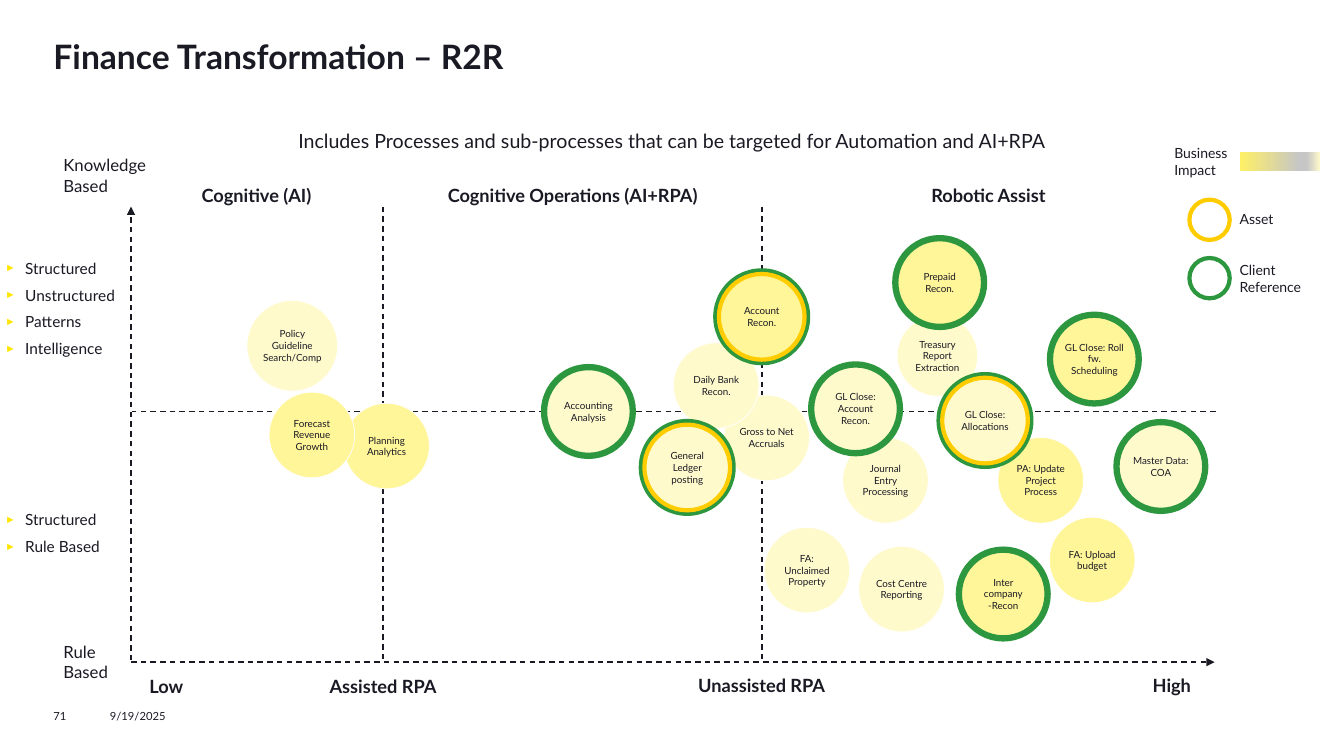
from lxml import etree
from pptx import Presentation
from pptx.dml.color import RGBColor
from pptx.enum.dml import MSO_LINE
from pptx.enum.shapes import MSO_CONNECTOR, MSO_SHAPE
from pptx.enum.text import MSO_ANCHOR, PP_ALIGN
from pptx.oxml.ns import qn
from pptx.util import Pt

OVAL, RECT = MSO_SHAPE.OVAL, MSO_SHAPE.RECTANGLE
STRAIGHT, DASH = MSO_CONNECTOR.STRAIGHT, MSO_LINE.DASH
TOP, MIDDLE = MSO_ANCHOR.TOP, MSO_ANCHOR.MIDDLE
LEFT, CENTER = PP_ALIGN.LEFT, PP_ALIGN.CENTER

INK = RGBColor(0x1A, 0x1A, 0x24)
WHITE = RGBColor(0xFF, 0xFF, 0xFF)
PALE = RGBColor(0xFF, 0xFA, 0xCC)
BRIGHT = RGBColor(0xFF, 0xF5, 0x99)
GREEN = RGBColor(0x2C, 0x97, 0x3E)
GOLD = RGBColor(0xFF, 0xCC, 0x00)
YELLOW = RGBColor(0xFF, 0xE6, 0x00)
LEMON = RGBColor(0xFF, 0xF0, 0x66)
GREY = RGBColor(0xC6, 0xC6, 0xC6)

FONT = "Lato"
DIAMETER = 61.2
CLIENT, ASSET = "client reference", "asset and client reference"
RINGS = {  # diameter, colour, width
    None: [],
    CLIENT: [(63.4, GREEN, 4.5)],
    ASSET: [(64.8, GREEN, 4.5), (DIAMETER, GOLD, 3)],
}

# text, centre x, centre y, diameter, fill, rings; back to front
BUBBLES = [
    ("Policy Guideline Search/Comp", 208.8, 247, 64.8, PALE, None),
    ("Treasury Report Extraction", 669.6, 254.2, 57.6, PALE, None),
    ("Gross to Net\nAccruals", 547.6, 312.8, DIAMETER, PALE, None),
    ("FA: Upload budget", 780.1, 400, DIAMETER, BRIGHT, None),
    ("PA: Update Project Process", 743.4, 343.1, DIAMETER, BRIGHT, None),
    ("Journal\vEntry Processing", 632.5, 343.1, DIAMETER, PALE, None),
    ("FA: Unclaimed Property", 576.4, 407.2, DIAMETER, PALE, None),
    ("Planning Analytics", 276.1, 318.6, DIAMETER, BRIGHT, None),
    ("Forecast Revenue Growth", 222.8, 310.7, DIAMETER, BRIGHT, None),
    ("Cost Centre\vReporting", 644, 420.8, DIAMETER, PALE, None),
    ("Daily Bank Recon.", 511.6, 275.4, DIAMETER, PALE, None),
    ("Inter company -Recon", 716.6, 424.3, DIAMETER, BRIGHT, CLIENT),
    ("GL Close: Roll fw. Scheduling", 781.7, 256.5, DIAMETER, BRIGHT, CLIENT),
    ("Prepaid Recon.", 671.2, 201.8, DIAMETER, BRIGHT, CLIENT),
    ("Account Recon.", 544.1, 226.3, DIAMETER, BRIGHT, ASSET),
    ("General Ledger posting", 490.9, 333.9, DIAMETER, PALE, ASSET),
    ("Accounting\nAnalysis", 420.3, 293.9, DIAMETER, PALE, CLIENT),
    ("GL Close: Account Recon.", 611.1, 292, DIAMETER, PALE, CLIENT),
    ("GL Close: Allocations", 703.6, 300.4, DIAMETER, PALE, ASSET),
    ("Master Data: COA", 829.2, 333.2, DIAMETER, PALE, CLIENT),
]

# x1, y1, x2, y2, arrow at the end
AXES = [
    (93.6, 471.6, 93.6, 147.6, True),
    (93.6, 473, 867.6, 473, True),
    (544.3, 147.6, 544.3, 471.6, False),
    (868.3, 293.8, 94.3, 293.8, False),
    (273.6, 147.6, 273.6, 471.6, False),
]

# text, left, top, width
HEADINGS = [
    ("Cognitive (AI)", 120.2, 130.3, 126),
    ("Cognitive Operations (AI+RPA)", 301, 130.3, 216),
    ("Robotic Assist", 643, 130.3, 126),
    ("Low", 93.6, 481, 50.4),
    ("Assisted RPA", 219.6, 481, 108),
    ("Unassisted RPA", 481, 480.2, 126),
    ("High", 810, 480.2, 54),
]

# text, left, top, width, height
AXIS_ENDS = [
    ("Knowledge Based", 38.2, 107.3, 79.2, 36),
    ("Rule Based", 38.2, 458.6, 55.4, 28.8),
]
BULLET_LISTS = [
    (["Structured", "Unstructured", "Patterns", "Intelligence"], 177.1, 86.4),
    (["Structured", "Rule Based"], 355.7, 50.4),
]
FOOTER = [("71", 38.2, 40.3), ("9/19/2025", 78.5, 100.8)]

# text, ring colour, top of ring, top of label, height of label
LEGEND = [
    ("Asset", GOLD, 142.6, 147.6, 18),
    ("Client Reference", GREEN, 184.3, 184.3, 28.8),
]
IMPACT_STOPS = [(0, LEMON), (74, GREY), (83, GREY), (100, PALE)]


def write(sp, text, size, align=LEFT, anchor=MIDDLE, inset=(7.2, 3.6, 7.2, 3.6), bold=False):
    tf = sp.text_frame
    tf.word_wrap = True
    tf.vertical_anchor = anchor
    tf.margin_left, tf.margin_top, tf.margin_right, tf.margin_bottom = map(Pt, inset)
    tf.text = text
    for p in tf.paragraphs:
        p.alignment = align
        p.font.name, p.font.size, p.font.bold = FONT, Pt(size), bold
        p.font.color.rgb = INK
    return tf


def add_text(s, text, left, top, width, height, size, **style):
    box = s.shapes.add_textbox(Pt(left), Pt(top), Pt(width), Pt(height))
    return write(box, text, size, **style)


def add_figure(s, kind, left, top, width, height, fill, line, line_width):
    sp = s.shapes.add_shape(kind, Pt(left), Pt(top), Pt(width), Pt(height))
    sp.shadow.inherit = False
    if fill is None:
        sp.fill.background()
    else:
        sp.fill.solid()
        sp.fill.fore_color.rgb = fill
    sp.line.color.rgb = line
    sp.line.width = Pt(line_width)
    return sp


def add_circle(s, x, y, d, fill, line, line_width):
    """Add a circle by its centre and diameter."""
    return add_figure(s, OVAL, x - d / 2, y - d / 2, d, d, fill, line, line_width)


def add_axis(s, x1, y1, x2, y2, arrow):
    line = s.shapes.add_connector(STRAIGHT, Pt(x1), Pt(y1), Pt(x2), Pt(y2))
    line.line.color.rgb = INK
    line.line.width = Pt(1)
    line.line.dash_style = DASH
    if arrow:
        etree.SubElement(line.line._get_or_add_ln(), qn("a:tailEnd"), type="triangle")
    etree.SubElement(line._element.spPr, qn("a:effectLst"))


def add_bullet(p):
    pPr = p._p.get_or_add_pPr()
    pPr.set("marL", str(Pt(14.4)))
    pPr.set("indent", str(Pt(-14.4)))
    bullet = [
        etree.Element(qn("a:buClr")),
        etree.Element(qn("a:buSzPct"), val="70000"),
        etree.Element(qn("a:buFont"), typeface="Arial"),
        etree.Element(qn("a:buChar"), char="►"),
    ]
    etree.SubElement(bullet[0], qn("a:srgbClr"), val=str(YELLOW))
    for i, e in enumerate(bullet):
        pPr.insert(i, e)
    p.space_after = Pt(6)


def set_gradient(sp, stops):
    sp.fill.gradient()
    sp.fill.gradient_angle = 0
    gs_list = sp._element.spPr.find(".//" + qn("a:gsLst"))
    gs_list[:] = []
    for position, color in stops:
        gs = etree.SubElement(gs_list, qn("a:gs"), pos=str(position * 1000))
        etree.SubElement(gs, qn("a:srgbClr"), val=str(color))


prs = Presentation()
prs.slide_width, prs.slide_height = Pt(960), Pt(540)
s = prs.slides.add_slide(prs.slide_layouts[6])

tf = add_text(s, "Finance Transformation – R2R", 38.2, 30.2, 884.2, 50.4, 24,
              anchor=TOP, inset=(0, 0, 0, 0), bold=True)
tf.paragraphs[0].line_spacing = 0.85
add_text(s, "Includes Processes and sub-processes that can be targeted for Automation and AI+RPA",
         174.2, 87.8, 612, 25.2, 14, align=CENTER)
for text, left, width in FOOTER:
    add_text(s, text, left, 506.9, width, 9.4, 8, anchor=TOP, inset=(0, 0, 0, 0))

for axis in AXES:
    add_axis(s, *axis)

for text, x, y, d, fill, rings in BUBBLES:
    sp = add_circle(s, x, y, d, fill, WHITE, 0.5)
    write(sp, text, 7, align=CENTER, inset=(0, 1.44, 0, 1.44))
    for ring_d, color, width in RINGS[rings]:
        add_circle(s, x, y, ring_d, None, color, width)

for text, left, top, width in HEADINGS:
    add_text(s, text, left, top, width, 18, 13, align=CENTER, bold=True)
for text, *place in AXIS_ENDS:
    add_text(s, text, *place, 12)
for items, top, height in BULLET_LISTS:
    tf = add_text(s, "\n".join(items), 0, top, 100.8, height, 11, inset=(3.6,) * 4)
    for p in tf.paragraphs:
        add_bullet(p)

for text, color, ring_top, top, height in LEGEND:
    add_figure(s, OVAL, 849.6, ring_top, 28.8, 28.8, None, color, 3)
    add_text(s, text, 878.4, top, 64.8, height, 10, inset=(7.2, 3.6, 3.6, 3.6))
scale = add_figure(s, RECT, 885.6, 108, 57.6, 14.4, LEMON, WHITE, 0.5)
set_gradient(scale, IMPACT_STOPS)
add_text(s, "Business Impact", 835.2, 100.8, 50.4, 28.8, 10, inset=(3.6,) * 4)

prs.save("out.pptx")
